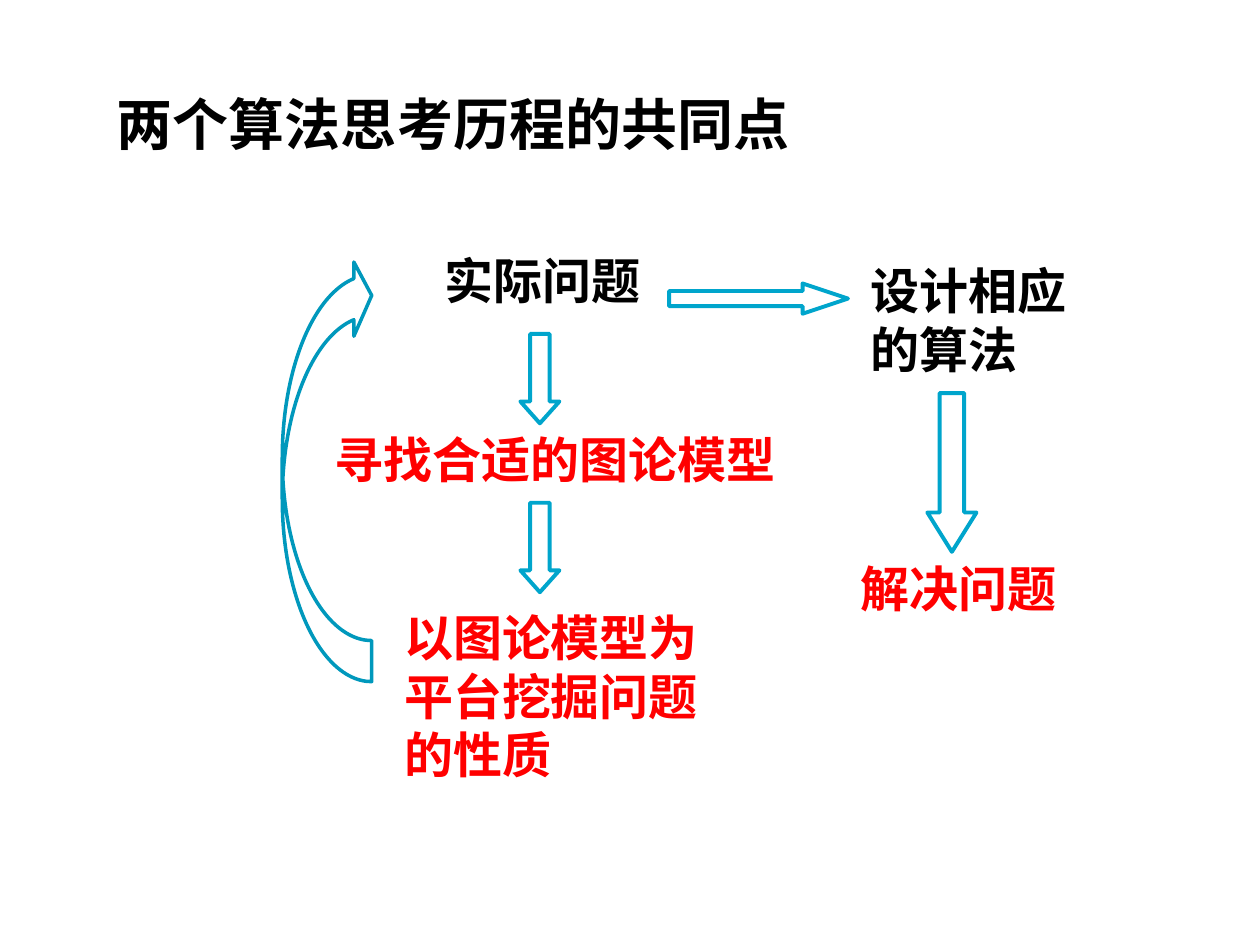
from dataclasses import dataclass

from pptx import Presentation
from pptx.dml.color import RGBColor
from pptx.enum.shapes import MSO_SHAPE
from pptx.enum.text import MSO_ANCHOR
from pptx.slide import Slide
from pptx.util import Inches, Pt


@dataclass(frozen=True)
class Theme:
    font: str = "Times New Roman"
    black: str = "000000"
    red: str = "FF0000"
    blue: str = "00A5CC"
    teal: str = "0098BC"
    head: int = 32
    body: int = 28


@dataclass(frozen=True)
class Label:
    text: str
    box: tuple[float, float, float, float]
    color: str
    size: int
    anchor: MSO_ANCHOR = MSO_ANCHOR.TOP


@dataclass(frozen=True)
class Arrow:
    kind: MSO_SHAPE
    box: tuple[float, float, float, float]
    adjust: tuple[float, ...]
    color: str
    width: float = 2.25
    turn: float = 0


THEME = Theme()

# Title and steps
LABELS = [
    Label("两个算法思考历程的共同点", (0.83, 0.6, 7.4, 0.76),
          THEME.black, THEME.head, MSO_ANCHOR.MIDDLE),
    Label("实际问题", (3.43, 1.94, 1.89, 0.57), THEME.black, THEME.body),
    Label("寻找合适的图论模型", (2.56, 3.36, 3.86, 0.57), THEME.red, THEME.body),
    Label("以图论模型为平台挖掘问题的性质", (3.11, 4.77, 2.76, 1.5),
          THEME.red, THEME.body),
    Label("设计相应的算法", (6.81, 2.02, 2.05, 1.04), THEME.black, THEME.body),
    Label("解决问题", (6.73, 4.38, 1.81, 0.57), THEME.red, THEME.body),
]

# Arrows between steps, then the loop back to the start
ARROWS = [
    *(Arrow(MSO_SHAPE.DOWN_ARROW, (4.13, top, 0.31, 0.71), (0.5, 0.56), THEME.blue)
      for top in (2.65, 3.99)),
    Arrow(MSO_SHAPE.RIGHT_ARROW, (5.31, 2.25, 1.42, 0.24), (0.5, 1.5), THEME.blue),
    Arrow(MSO_SHAPE.DOWN_ARROW, (7.36, 3.12, 0.39, 1.26), (0.5, 0.8), THEME.blue),
    Arrow(MSO_SHAPE.CURVED_LEFT_ARROW, (2.24, 2.05, 0.71, 3.36),
          (0.46, 0.83, 0.2), THEME.teal, 2, 180),
]


def add_label(slide: Slide, label: Label) -> None:
    frame = slide.shapes.add_textbox(*map(Inches, label.box)).text_frame
    frame.word_wrap = True
    frame.vertical_anchor = label.anchor
    para = frame.paragraphs[0]
    para.text = label.text
    para.font.name = THEME.font
    para.font.size = Pt(label.size)
    para.font.bold = True
    para.font.color.rgb = RGBColor.from_string(label.color)


def add_arrow(slide: Slide, arrow: Arrow) -> None:
    shape = slide.shapes.add_shape(arrow.kind, *map(Inches, arrow.box))
    shape.shadow.inherit = False
    shape.rotation = arrow.turn
    for i, value in enumerate(arrow.adjust):
        shape.adjustments[i] = value
    shape.fill.background()
    shape.line.color.rgb = RGBColor.from_string(arrow.color)
    shape.line.width = Pt(arrow.width)


def main() -> None:
    deck = Presentation()
    deck.slide_width, deck.slide_height = Inches(10), Inches(7.5)
    slide = deck.slides.add_slide(deck.slide_layouts[6])
    for label in LABELS:
        add_label(slide, label)
    for arrow in ARROWS:
        add_arrow(slide, arrow)
    deck.save("out.pptx")


if __name__ == "__main__":
    main()
